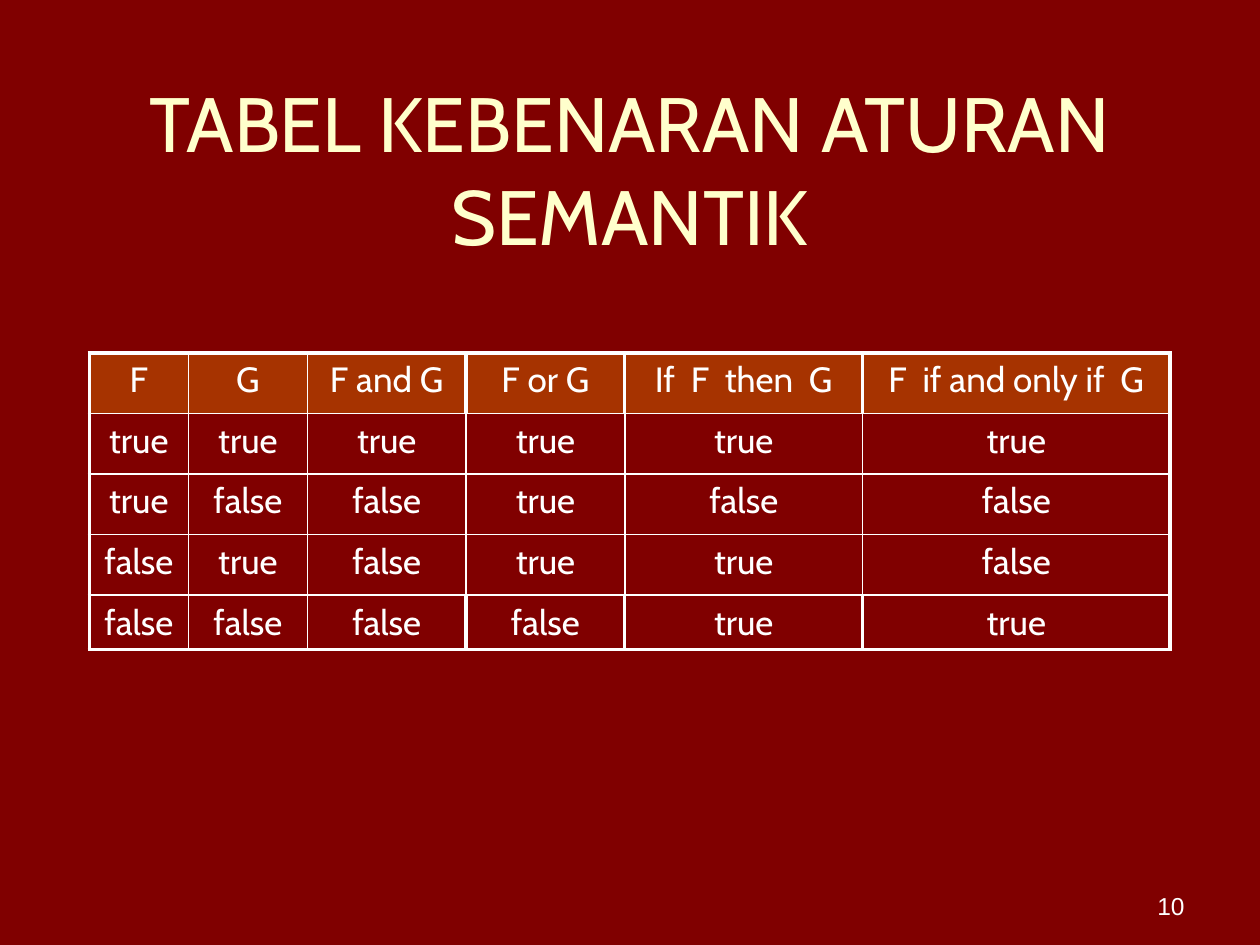
"""Build a slide with the truth table of the semantic rules."""
from lxml.etree import SubElement
from pptx import Presentation
from pptx.dml.color import RGBColor
from pptx.enum.text import MSO_ANCHOR, PP_ALIGN
from pptx.oxml import parse_xml
from pptx.oxml.ns import nsdecls, qn
from pptx.util import Pt


def colour(hex_value):
    return RGBColor.from_string(hex_value)


def write(frame, text, font, size, hex_value, align):
    frame.text = text
    line = frame.paragraphs[0]
    line.alignment = align
    for name, value in {"name": font, "size": Pt(size), "bold": False}.items():
        setattr(line.runs[0].font, name, value)
    line.runs[0].font.color.rgb = colour(hex_value)
    return line


deck = Presentation()
deck.slide_width, deck.slide_height = Pt(720), Pt(540)
slide = deck.slides.add_slide(deck.slide_layouts[5])
slide.background.fill.solid()
slide.background.fill.fore_color.rgb = colour("800000")

heading = slide.shapes.title
page = slide.shapes.add_textbox(Pt(516), Pt(492), Pt(168), Pt(37.5))
for name, value in {"left": 36, "top": 42, "width": 648, "height": 108}.items():
    setattr(heading, name, Pt(value))
heading.text_frame.vertical_anchor = MSO_ANCHOR.MIDDLE
page.text_frame.vertical_anchor = MSO_ANCHOR.BOTTOM
page.text_frame.word_wrap = True
write(heading.text_frame, "TABEL KEBENARAN ATURAN SEMANTIK", "Cabin", 44, "FFFFCC", PP_ALIGN.CENTER)
write(page.text_frame, "10", "Arial", 14, "FFFFFF", PP_ALIGN.RIGHT)

truths = [
    ["F", "G", "F and G", "F or G", "If  F  then  G", "F  if and only if  G"],
    ["true", "true", "true", "true", "true", "true"],
    ["true", "false", "false", "true", "false", "false"],
    ["false", "true", "false", "true", "true", "false"],
    ["false", "false", "false", "false", "true", "true"],
]
widths = [56.7, 68, 90.7, 90.7, 136, 175.5]
heights = [34.6, 34.6, 34.6, 34.6, 31.4]
last_row, last_column = len(heights) - 1, len(widths) - 1
grid = slide.shapes.add_table(
    len(heights), len(widths), Pt(51), Pt(201.6), Pt(sum(widths)), Pt(sum(heights))
).table
for column, width in zip(grid.columns, widths):
    column.width = Pt(width)
for row, height in zip(grid.rows, heights):
    row.height = Pt(height)

for r, values in enumerate(truths):
    for c, value in enumerate(values):
        cell = grid.cell(r, c)
        line = write(cell.text_frame, value, "Cabin", 20, "FFFFFF", PP_ALIGN.CENTER)
        line.space_before = Pt(4)
        if r == 0:
            cell.fill.solid()
            cell.fill.fore_color.rgb = colour("CC6600")
            tint = next(cell._tc.tcPr.iter(qn("a:srgbClr")))
            SubElement(tint, qn("a:alpha"), val="50000")
        else:
            cell.fill.background()
        outer_row = r in (0, last_row)
        thick_sides = {
            "lnL": c == 0 or (outer_row and c >= 3),
            "lnR": c == last_column or (outer_row and c >= 2),
            "lnT": r == 0,
            "lnB": r == last_row,
        }
        for position, (side, thick) in enumerate(thick_sides.items()):
            border = parse_xml(
                f'<a:{side} {nsdecls("a")} w="{Pt(2.25 if thick else 1)}">'
                f'<a:solidFill><a:srgbClr val="FFFFFF"/></a:solidFill></a:{side}>'
            )
            cell._tc.tcPr.insert(position, border)

deck.save("out.pptx")
